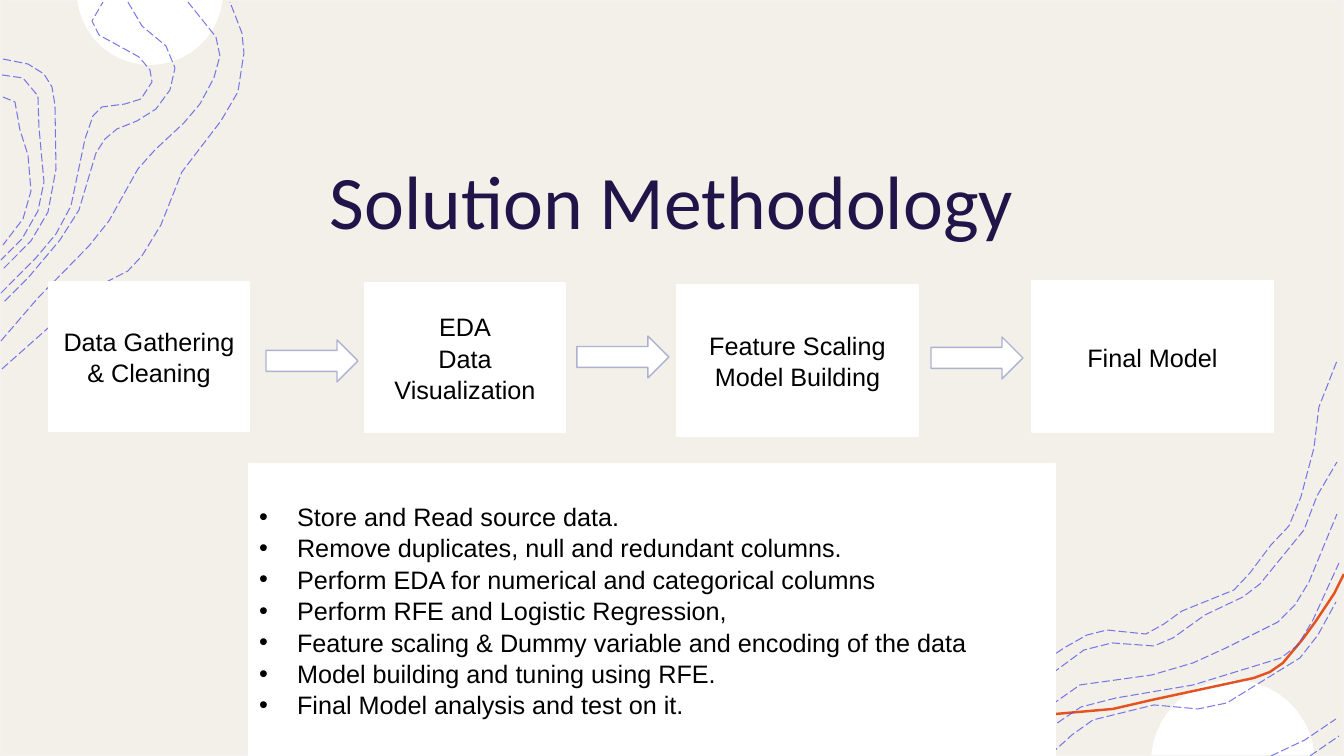
from math import asin, cos, pi, sin

from lxml import etree
from pptx import Presentation
from pptx.dml.color import RGBColor
from pptx.enum.dml import MSO_LINE
from pptx.enum.shapes import MSO_SHAPE as Preset
from pptx.enum.text import MSO_ANCHOR as Anchor, MSO_AUTO_SIZE as AutoSize, PP_ALIGN as Align
from pptx.oxml.ns import qn
from pptx.util import Emu, Pt

WIDTH, HEIGHT = 1344, 756
SCALE = 12192000 / WIDTH

WHITE = RGBColor(0xFF, 0xFF, 0xFF)
BLACK = RGBColor(0x00, 0x00, 0x00)
CREAM = RGBColor(0xF3, 0xF0, 0xE9)
PALE_GRAY = RGBColor(0xF2, 0xF2, 0xF2)
CONTOUR_BLUE = RGBColor(0x4D, 0x4E, 0xE6)
ORANGE = RGBColor(0xE4, 0x52, 0x21)
ARROW_EDGE = RGBColor(0xAD, 0xB2, 0xD0)
NAVY = RGBColor(0x20, 0x14, 0x49)

# Points each contour passes through, in px
LEFT_CONTOURS = [
    [(2, 369), (55, 322), (67, 307), (87, 292), (128, 271), (142, 256), (161, 225), (182, 172),
     (221, 121), (238, 92), (244, 53), (242, 33), (230, 2)],
    [(1, 341), (38, 298), (89, 246), (109, 221), (138, 169), (155, 150), (184, 123), (200, 104),
     (214, 78), (220, 56), (216, 37), (188, 2)],
    [(128, 2), (142, 26), (166, 46), (175, 68), (170, 90), (156, 109), (137, 121), (117, 129),
     (105, 139), (96, 153), (79, 210), (60, 240), (28, 278), (3, 303)],
    [(1, 293), (35, 259), (56, 234), (71, 206), (85, 139), (93, 116), (102, 107), (125, 104),
     (141, 99), (152, 82), (150, 70), (139, 57), (99, 35), (92, 21), (103, 2)],
    [(3, 59), (28, 64), (44, 74), (52, 87), (55, 105), (56, 169), (48, 212), (31, 241), (2, 270)],
    [(2, 75), (23, 78), (38, 96), (39, 127), (44, 182), (38, 211), (22, 239), (1, 260)],
    [(3, 97), (15, 102), (20, 130), (28, 155), (31, 191), (23, 219), (3, 245)],
]
RIGHT_CONTOURS = [
    [(950, 754), (994, 701), (1010, 685), (1064, 648), (1087, 635), (1107, 630), (1146, 634),
     (1164, 624), (1182, 611), (1234, 590), (1250, 573), (1271, 545), (1289, 526), (1301, 497),
     (1314, 448), (1319, 407), (1337, 361)],
    [(977, 756), (993, 728), (1016, 700), (1084, 650), (1112, 643), (1154, 646), (1173, 638),
     (1205, 615), (1243, 597), (1260, 584), (1304, 530), (1317, 496), (1337, 462)],
    [(1310, 756), (1339, 736)],
    [(1271, 756), (1305, 740), (1336, 719)],
    [(1051, 754), (1072, 735), (1093, 720), (1154, 705), (1198, 709), (1227, 703), (1274, 674),
     (1300, 658), (1318, 635), (1336, 602)],
    [(1027, 756), (1047, 730), (1081, 707), (1116, 698), (1193, 685), (1281, 658), (1298, 645),
     (1313, 620), (1339, 563)],
    [(1007, 756), (1020, 736), (1050, 706), (1080, 685), (1152, 675), (1193, 663), (1226, 648),
     (1278, 622), (1295, 605), (1309, 582), (1337, 514)],
]
ORANGE_CURVE = [
    (883, 756), (932, 732), (990, 721), (1056, 714), (1113, 709), (1152, 700), (1254, 678),
    (1270, 672), (1283, 663), (1303, 639), (1316, 621), (1334, 594), (1344, 574)]

STEPS = [
    ((49, 282, 200, 149), ["Data Gathering & Cleaning"]),
    ((365, 283, 200, 149), ["EDA", "Data Visualization"]),
    ((677, 285, 241, 151), ["Feature Scaling", "Model Building"]),
    ((1032, 281, 241, 151), ["Final Model"]),
]
ARROWS = [(266, 340), (577, 336), (931, 337)]
TASKS = [
    "Store and Read source data.",
    "Remove duplicates, null and redundant columns.",
    "Perform EDA for numerical and categorical columns",
    "Perform RFE and Logistic Regression,",
    "Feature scaling & Dummy variable and encoding of the data",
    "Model building and tuning using RFE.",
    "Final Model analysis and test on it.",
]


def px(length):
    return Emu(round(length * SCALE))


def paint(shape, fill, line):
    shape.fill.solid()
    shape.fill.fore_color.rgb = fill
    shape.line.color.rgb = line
    shape.line.width = Pt(1)


def add_preset(shapes, preset, box, fill, line):
    shape = shapes.add_shape(preset, *map(px, box))
    shape.shadow.inherit = False
    paint(shape, fill, line)
    return shape


def add_outline(shapes, points, close):
    points = [(px(x), px(y)) for x, y in points]
    builder = shapes.build_freeform(*points[0])
    builder.add_line_segments(points[1:], close=close)
    shape = builder.convert_to_shape()
    shape.shadow.inherit = False
    return shape


def add_curve(shapes, points, color, width):
    curve = add_outline(shapes, points, close=False)
    curve.fill.background()
    curve.line.color.rgb = color
    curve.line.width = Pt(width)
    return curve


def add_contours(slide, contours):
    group = slide.shapes.add_group_shape()
    for points in contours:
        curve = add_curve(group.shapes, points, CONTOUR_BLUE, 0.75)
        curve.line.dash_style = MSO_LINE.LONG_DASH
        color = next(curve.element.iter(qn("a:srgbClr")))
        etree.SubElement(color, qn("a:alpha"), val="75000")


def add_dome(slide, center_x, center_y, radius, edge_y, direction):
    """Part of a disc cut by the slide edge; direction 1 bulges down, -1 up."""
    start = asin(abs(edge_y - center_y) / radius)
    angles = [start + (pi - 2 * start) * i / 20 for i in range(21)]
    dome = add_outline(slide.shapes, [
        (center_x + radius * cos(angle), center_y + direction * radius * sin(angle))
        for angle in angles], close=True)
    dome.fill.solid()
    dome.fill.fore_color.rgb = WHITE
    dome.line.fill.background()


def add_backdrop(slide, box):
    left, top, width, height = box
    add_preset(slide.shapes, Preset.RECTANGLE, box, CREAM, PALE_GRAY)
    add_dome(slide, left + 150, top - 8, 73, top, 1)
    add_dome(slide, left + width - 111, top + height + 6, 82, top + height - 1, -1)
    add_curve(slide.shapes, ORANGE_CURVE, ORANGE, 1.75)
    add_contours(slide, LEFT_CONTOURS)
    add_contours(slide, RIGHT_CONTOURS)


def place_text(shape, box, lines, font_name, size, color, align, spacing=1.0):
    shape.left, shape.top, shape.width, shape.height = map(px, box)
    frame = shape.text_frame
    frame.text = "\n".join(lines)
    frame.word_wrap = True
    frame.auto_size = AutoSize.NONE
    frame.vertical_anchor = Anchor.MIDDLE
    for paragraph in frame.paragraphs:
        paragraph.alignment = align
        paragraph.line_spacing = spacing
        paragraph.space_before = Pt(0)
        paragraph.font.name = font_name
        paragraph.font.size = Pt(size)
        paragraph.font.color.rgb = color


def bring_to_front(shape):
    shape.element.getparent().append(shape.element)


def add_title(slide, box):
    title = slide.shapes.title
    place_text(title, box, ["Solution Methodology"], "Calibri", 54, NAVY, Align.CENTER)
    bring_to_front(title)


def add_process(slide):
    for box, lines in STEPS:
        step = add_preset(slide.shapes, Preset.RECTANGLE, box, WHITE, WHITE)
        place_text(step, box, lines, "Arial", 18, BLACK, Align.CENTER, 1.04)
    for left, top in ARROWS:
        add_preset(slide.shapes, Preset.RIGHT_ARROW, (left, top, 92, 42), WHITE, ARROW_EDGE)


def add_task_list(slide, box):
    body = slide.placeholders[1]
    place_text(body, box, TASKS, "Arial", 18, BLACK, Align.LEFT, 1.04)
    paint(body, WHITE, WHITE)
    for paragraph in body.text_frame.paragraphs:
        properties = paragraph._p.get_or_add_pPr()
        properties.set("marL", str(px(38)))
        properties.set("indent", str(px(-38)))
        etree.SubElement(properties, qn("a:buChar"), char="•")
        # The bullet must precede the default run properties
        properties.append(properties.find(qn("a:defRPr")))
    bring_to_front(body)


def main():
    presentation = Presentation()
    presentation.slide_width, presentation.slide_height = px(WIDTH), px(HEIGHT)
    slide = presentation.slides.add_slide(presentation.slide_layouts[1])
    add_backdrop(slide, (0, 0, WIDTH, HEIGHT))
    add_title(slide, (92, 140, 1159, 118))
    add_process(slide)
    add_task_list(slide, (249, 464, 806, 292))
    presentation.save("out.pptx")


if __name__ == "__main__":
    main()
